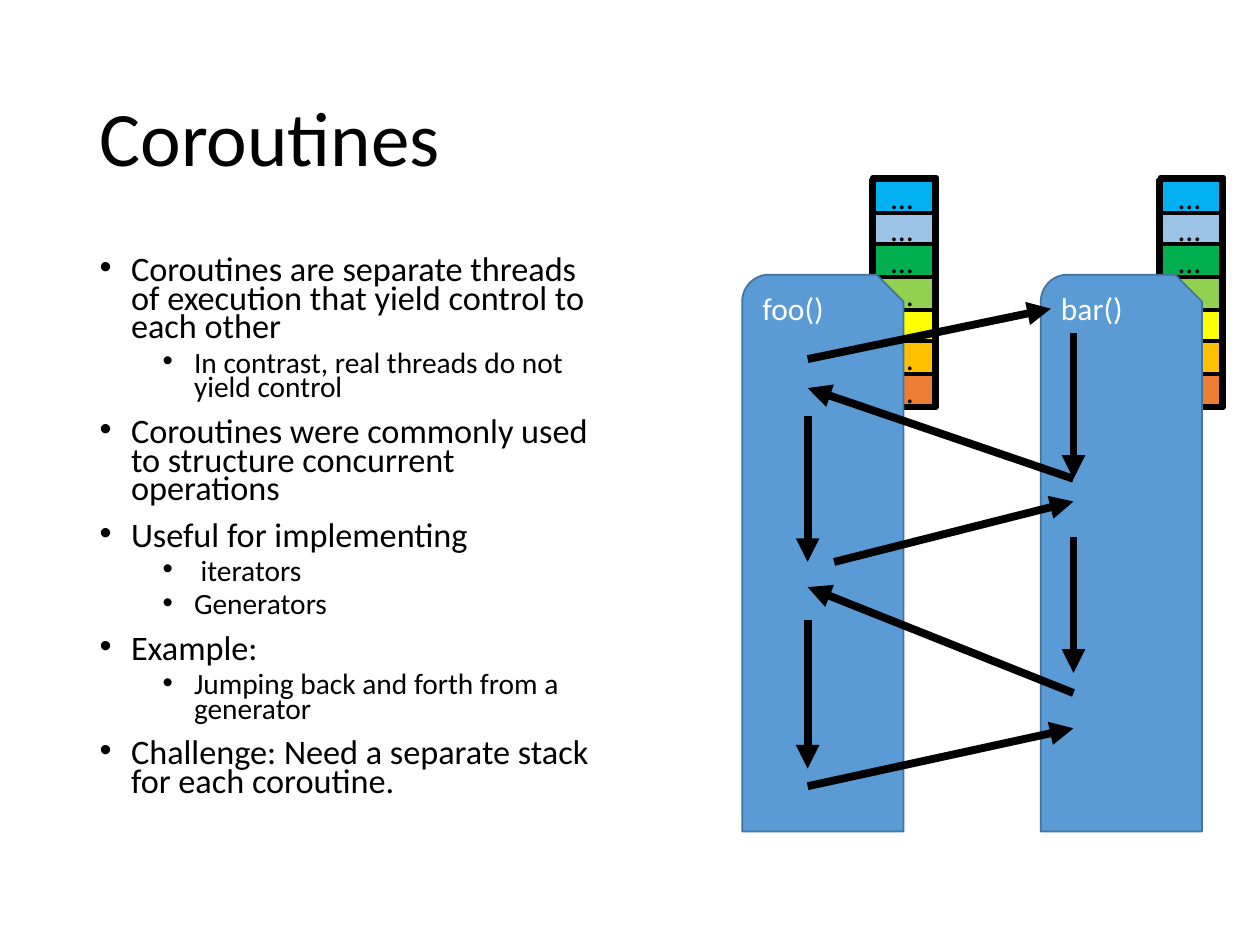
from lxml import etree
from pptx import Presentation
from pptx import util as u
from pptx.dml.color import RGBColor
from pptx.enum import shapes, text
from pptx.oxml.ns import qn

PX = 9144
FONT = "Calibri"
STACK_COLORS = ["00B0F0", "9DC3E6", "00B050", "92D050", "FFFF00", "FFC000", "ED7D31"]
BULLETS = [
    (0, "Coroutines are separate threads of execution that yield control to each other"),
    (1, "In contrast, real threads do not yield control"),
    (0, "Coroutines were commonly used to structure concurrent operations"),
    (0, "Useful for implementing"),
    (1, " iterators"),
    (1, "Generators"),
    (0, "Example:"),
    (1, "Jumping back and forth from a generator"),
    (0, "Challenge: Need a separate stack for each coroutine."),
]
FOO_X, BAR_X = 641, 852
ARROWS = [
    (FOO_X, 285, 834, 245),
    (BAR_X, 264, BAR_X, 380),
    (BAR_X, 380, FOO_X, 308),
    (FOO_X, 330, FOO_X, 446),
    (662, 446, BAR_X, 398),
    (BAR_X, 426, BAR_X, 534),
    (BAR_X, 550, FOO_X, 466),
    (FOO_X, 492, FOO_X, 610),
    (FOO_X, 624, BAR_X, 578),
]


def px(*values):
    """Turn whole px (100 to the inch) into EMU lengths."""
    return [u.Emu(v * PX) for v in values]


def rgb(value):
    """Turn a hex string into a colour."""
    return RGBColor.from_string(value)


def write(p, content, size=18, color="000000", align=text.PP_ALIGN.LEFT, spacing=None, before=None):
    """Put one formatted run into a paragraph."""
    r = p.add_run()
    r.text = content
    r.font.name, r.font.size = FONT, u.Pt(size)
    r.font.color.rgb = rgb(color)
    p.alignment = align
    if spacing is not None:
        p.line_spacing = spacing
    if before is not None:
        p.space_before = u.Pt(before)


def place(sp, left, top, width, height):
    """Move and size a shape."""
    sp.left, sp.top, sp.width, sp.height = px(left, top, width, height)


def add_box(parent, kind, box, line, weight, fill=None):
    """Add a preset shape with its outline and optional fill."""
    sp = parent.add_shape(kind, *px(*box))
    sp.shadow.inherit = False
    if fill:
        sp.fill.solid()
        sp.fill.fore_color.rgb = rgb(fill)
    else:
        sp.fill.background()
    sp.line.color.rgb = rgb(line)
    sp.line.width = u.Pt(weight)
    return sp


def add_stack(s, left):
    """Add a framed call stack as a group of coloured cells."""
    group = s.shapes.add_group_shape().shapes
    rect = shapes.MSO_SHAPE.RECTANGLE
    for i, color in enumerate(STACK_COLORS):
        top = 143 + round(i * 154 / 6)
        sp = add_box(group, rect, (left, top, 50, 26), "000000", 2.25, color)
        tf = sp.text_frame
        tf.vertical_anchor = text.MSO_ANCHOR.MIDDLE
        write(tf.paragraphs[0], "…", align=text.PP_ALIGN.CENTER)
    add_box(group, rect, (left + 2, 141, 50, 182), "000000", 3)


def add_routine(s, left, name):
    """Add the tall block of one coroutine."""
    kind = shapes.MSO_SHAPE.SNIP_ROUND_RECTANGLE
    sp = add_box(s.shapes, kind, (left, 218, 128, 442), "43739E", 1, "5B9BD5")
    sp.text_frame.vertical_anchor = text.MSO_ANCHOR.TOP
    write(sp.text_frame.paragraphs[0], name, color="FFFFFF")


def add_arrow(s, *ends):
    """Add a thick arrow that shows a control transfer."""
    c = s.shapes.add_connector(shapes.MSO_CONNECTOR.STRAIGHT, *px(*ends))
    c.line.color.rgb = rgb("000000")
    c.line.width = u.Pt(4.5)
    etree.SubElement(c.line._get_or_add_ln(), qn("a:tailEnd"), type="triangle")
    etree.SubElement(c._element.spPr, qn("a:effectLst"))


def fill_title(sp, content):
    """Format the title placeholder."""
    place(sp, 69, 40, 862, 145)
    sp.text_frame.vertical_anchor = text.MSO_ANCHOR.MIDDLE
    write(sp.text_frame.paragraphs[0], content, size=44, spacing=0.9)


def fill_list(sp, items):
    """Fill the body placeholder with a two-level bullet list."""
    place(sp, 69, 200, 425, 476)
    tf = sp.text_frame
    tf.auto_size = text.MSO_AUTO_SIZE.NONE
    for i, (level, content) in enumerate(items):
        p = tf.add_paragraph() if i else tf.paragraphs[0]
        p.level = level
        write(p, content, size=(19.6, 16.8)[level], spacing=0.7, before=(10, 5)[level])
        indent, hanging = px((25, 75)[level], -25)
        pPr = p._p.get_or_add_pPr()
        pPr.set("marL", str(indent))
        pPr.set("indent", str(hanging))
        etree.SubElement(pPr, qn("a:buFont"), typeface="Arial")
        etree.SubElement(pPr, qn("a:buChar"), char="•")


def main():
    """Build the slide and save it."""
    prs = Presentation()
    prs.slide_width, prs.slide_height = px(1000, 750)
    s = prs.slides.add_slide(prs.slide_layouts[1])
    for left in (919, 691):
        add_stack(s, left)
    fill_title(s.shapes.title, "Coroutines")
    fill_list(s.placeholders[1], BULLETS)
    for left, name in ((826, "bar()"), (589, "foo()")):
        add_routine(s, left, name)
    for ends in ARROWS:
        add_arrow(s, *ends)
    prs.save("out.pptx")


if __name__ == "__main__":
    main()
